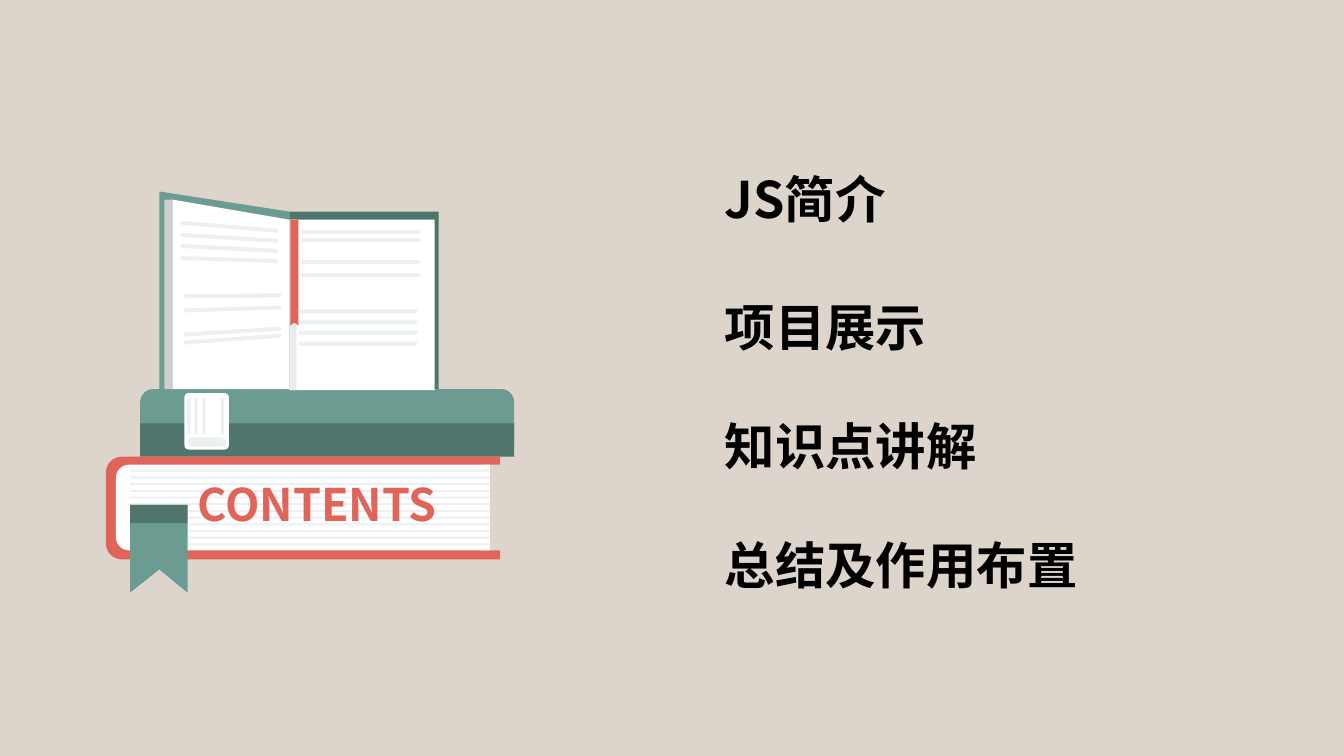
from math import dist

from lxml import etree
from pptx import Presentation
from pptx.dml.color import RGBColor
from pptx.enum.shapes import MSO_SHAPE as Preset
from pptx.enum.text import MSO_AUTO_SIZE as AutoSize
from pptx.oxml.ns import qn
from pptx.util import Inches, Pt

FONT = "Noto Sans CJK SC"
COLORS = {
    "background": "DDD5CB", "green": "6B9B91", "dark green": "4F756D",
    "red": "E0645A", "white": "FFFFFF", "rule": "ECF0F1",
    "page edge": "CFCECE", "gutter": "ECEBEB", "black": "000000",
}
TOPICS = [("JS简介", 1.62), ("项目展示", 2.89), ("知识点讲解", 4.07), ("总结及作用布置", 5.25)]


def color(name):
    return RGBColor.from_string(COLORS[name])


def paint(shape, fill):
    shape.shadow.inherit = False
    shape.fill.solid()
    shape.fill.fore_color.rgb = color(fill)
    shape.line.fill.background()


def add_block(shapes, left, top, width, height, fill, radius=0):
    preset = Preset.ROUNDED_RECTANGLE if radius else Preset.RECTANGLE
    block = shapes.add_shape(preset, Inches(left), Inches(top), Inches(width), Inches(height))
    if radius:
        block.adjustments[0] = radius / min(width, height)
    paint(block, fill)


def round_corner(before, corner, after, radius, steps=8):
    """Return points on a cubic curve that replaces a sharp corner."""
    def toward(point, length):
        share = length / dist(corner, point)
        return [c + (p - c) * share for c, p in zip(corner, point)]

    curve = (toward(before, radius), toward(before, radius * 0.45),
             toward(after, radius * 0.45), toward(after, radius))
    points = []
    for step in range(steps + 1):
        t = step / steps
        weights = ((1 - t) ** 3, 3 * t * (1 - t) ** 2, 3 * t * t * (1 - t), t ** 3)
        points.append([sum(w * point[axis] for w, point in zip(weights, curve)) for axis in (0, 1)])
    return points


def add_outline(shapes, corners, fill, radius=0, rounded=()):
    """Draw a closed polygon, rounding the corners whose indexes are given."""
    points = []
    for index, corner in enumerate(corners):
        if index in rounded:
            after = corners[(index + 1) % len(corners)]
            points += round_corner(corners[index - 1], corner, after, radius)
        else:
            points.append(corner)
    points = [(Inches(x), Inches(y)) for x, y in points]
    builder = shapes.build_freeform(*points[0], scale=1.0)
    builder.add_line_segments(points[1:], close=True)
    paint(builder.convert_to_shape(), fill)


def add_slanted_rule(shapes, left, start, end, width=0.97, height=0.04):
    corners = [(left, start), (left + width, end),
               (left + width, end + height), (left, start + height)]
    add_outline(shapes, corners, "rule", 0.02, range(4))


def add_text(shapes, text, left, top, width, height, size, fill):
    box = shapes.add_textbox(Inches(left), Inches(top), Inches(width), Inches(height))
    frame = box.text_frame
    frame.word_wrap = True
    frame.auto_size = AutoSize.SHAPE_TO_FIT_TEXT
    span = frame.paragraphs[0].add_run()
    span.text = text
    span.font.name = FONT
    span.font.size = Pt(size)
    span.font.bold = True
    span.font.color.rgb = color(fill)
    east_asian = etree.SubElement(span.font._element, qn("a:ea"))
    east_asian.set("typeface", FONT)


def draw_green_book(shapes):
    add_block(shapes, 1.39, 3.86, 3.71, 0.66, "green", 0.13)
    add_block(shapes, 1.39, 4.2, 3.71, 0.33, "dark green")
    add_block(shapes, 1.83, 3.9, 0.44, 0.56, "white", 0.04)
    add_block(shapes, 1.86, 4.34, 0.38, 0.09, "rule", 0.04)
    for left in (1.86, 1.93, 2.01, 2.19):
        add_block(shapes, left, 3.95, 0.03, 0.36, "rule", 0.01)


def draw_red_book(shapes):
    cover = [(1.05, 4.53), (4.96, 4.53), (4.96, 4.61), (4.78, 4.61),
             (4.78, 5.46), (4.96, 5.46), (4.96, 5.55), (1.05, 5.55)]
    add_outline(shapes, cover, "red", 0.16, (0, 7))
    pages = [(1.15, 4.61), (4.86, 4.61), (4.86, 5.46), (1.15, 5.46)]
    add_outline(shapes, pages, "white", 0.13, (0, 3))
    for index in range(12):
        add_block(shapes, 1.29, 4.66 + index * 0.0664, 3.57, 0.02, "rule")
    ribbon = [(1.29, 5.01), (1.86, 5.01), (1.86, 5.88), (1.58, 5.65), (1.29, 5.88)]
    add_outline(shapes, ribbon, "green")
    add_block(shapes, 1.29, 5.01, 0.57, 0.18, "dark green")


def draw_open_book(shapes):
    add_outline(shapes, [(1.58, 1.9), (2.87, 2.1), (2.87, 3.86), (1.58, 3.86)], "green")
    add_outline(shapes, [(1.71, 1.98), (2.87, 2.18), (2.87, 3.86), (1.71, 3.86)], "white")
    add_block(shapes, 2.87, 2.1, 1.48, 1.76, "dark green")
    add_block(shapes, 2.87, 2.18, 1.44, 1.69, "white")
    add_block(shapes, 1.63, 1.98, 0.08, 1.88, "page edge")
    add_block(shapes, 2.88, 2.18, 0.06, 1.69, "gutter")
    for left, tops in ((2.99, (2.28, 2.36, 2.58, 2.71)), (2.96, (3.07, 3.18, 3.28, 3.39))):
        for top in tops:
            add_block(shapes, left, top, 1.18, 0.04, "rule", 0.02)
    for start, end in ((3.38, 3.31), (3.3, 3.24), (3.06, 3.03), (2.92, 2.91)):
        add_slanted_rule(shapes, 1.82, start, end)
    for start, end in ((2.54, 2.57), (2.42, 2.47), (2.31, 2.37), (2.19, 2.27)):
        add_slanted_rule(shapes, 1.79, start, end)
    bookmark = [(2.88, 2.18), (2.96, 2.18), (2.96, 3.23), (2.92, 3.2), (2.88, 3.23)]
    add_outline(shapes, bookmark, "red")


def main():
    deck = Presentation()
    deck.slide_width, deck.slide_height = Inches(13.33), Inches(7.5)
    page = deck.slides.add_slide(deck.slide_layouts[6])
    page.background.fill.solid()
    page.background.fill.fore_color.rgb = color("background")

    books = page.shapes.add_group_shape().shapes
    draw_green_book(books)
    draw_red_book(books)
    draw_open_book(books)
    add_text(books, "CONTENTS", 1.86, 4.68, 3.24, 0.75, size=32, fill="red")
    for topic, top in TOPICS:
        add_text(page.shapes, topic, 7.09, top, 5.96, 0.71, size=36, fill="black")
    deck.save("out.pptx")


if __name__ == "__main__":
    main()
